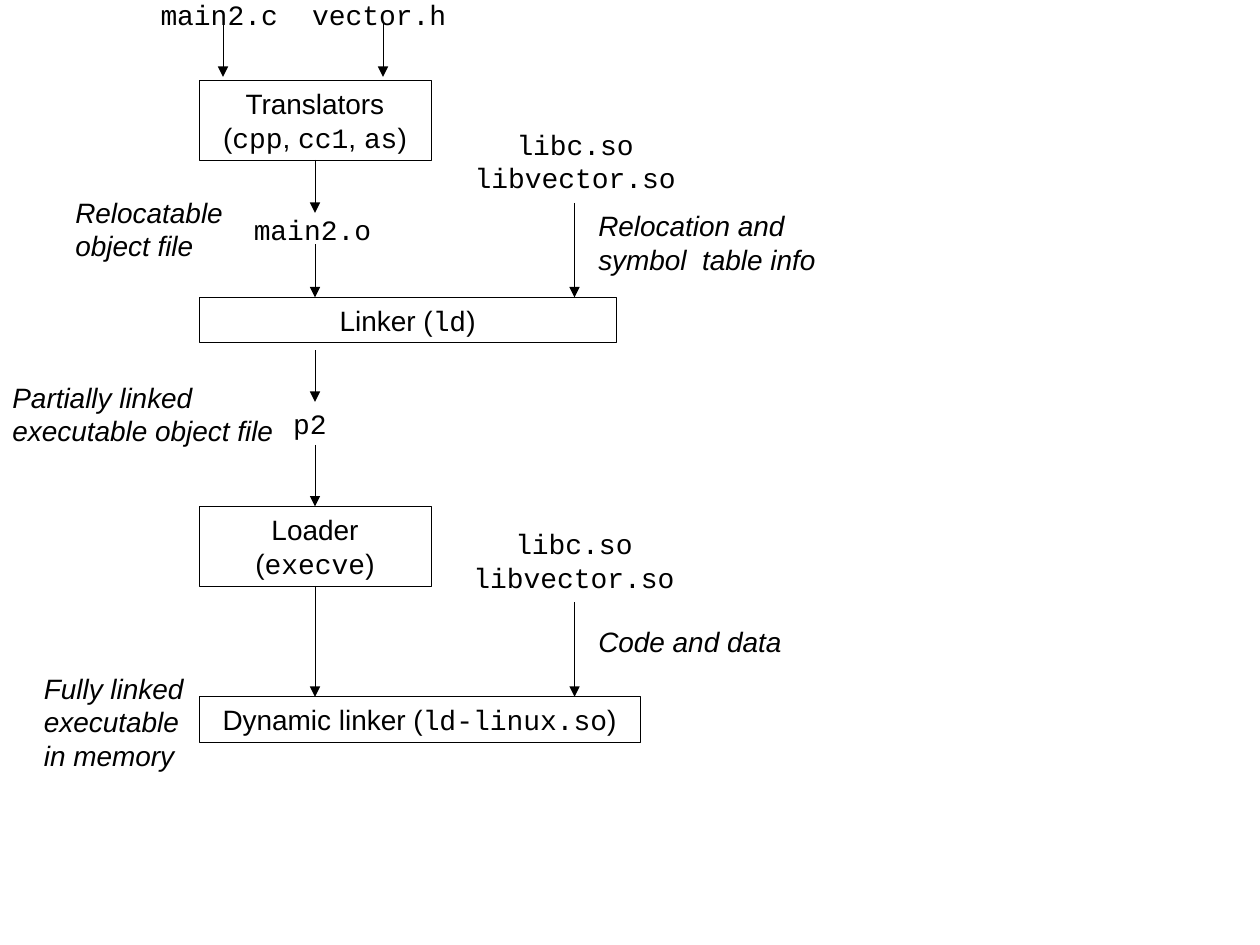
from dataclasses import dataclass
from typing import Optional

import pptx
import pptx.dml.color
import pptx.enum.shapes
import pptx.enum.text
import pptx.oxml
import pptx.oxml.ns
import pptx.util
from pptx.enum.text import MSO_AUTO_SIZE, PP_ALIGN

COLUMNS, ROWS = 100, 75
CELL = pptx.util.Inches(0.1)
COLORS = {"ink": "000000", "paper": "FFFFFF"}
SANS, MONO = "Arial", "Courier New"
LINE_WIDTH = pptx.util.Pt(0.25)
TOP, BOTTOM = 0, 2
FLOW = 25  # column of the main chain of arrows
LIBRARY = 45.6  # column of the shared-library arrows
STAGE_LEFT = 15.8
STAGE_WIDTH = 2 * (FLOW - STAGE_LEFT)


@dataclass(frozen=True)
class Block:
    """Text in grid cells; backticks enclose code, line ends split paragraphs."""
    text: str
    left: float
    top: float
    width: float
    height: float


@dataclass(frozen=True)
class Arrow:
    column: float
    start: float
    end: float
    source: Optional[str] = None
    target: Optional[str] = None


STAGES = {
    "translators": Block("Translators (`cpp`, `cc1`, `as`)", STAGE_LEFT, 6.4, STAGE_WIDTH, 6.3),
    "linker": Block("Linker (`ld`)", STAGE_LEFT, 23.6, 33.1, 3.6),
    "loader": Block("Loader (`execve`)", STAGE_LEFT, 40.2, STAGE_WIDTH, 6.3),
    "dynamic linker": Block("Dynamic linker (`ld-linux.so`)", STAGE_LEFT, 55.3, 35, 3.6),
}
LIBRARIES = "`libc.so`\n`libvector.so`"
FILES = [
    Block("`main2.c`", 11.6, -0.65, 11.6, 3.7),
    Block("`vector.h`", 23.6, -0.65, 13, 3.7),
    Block("`main2.o`", 19, 16.4, 11.6, 3.7),
    Block(LIBRARIES, 36.5, 9.6, 18.3, 6.4),
    Block("`p2`", 22.1, 31.8, 5, 3.7),
    Block(LIBRARIES, 36.4, 41.3, 18.3, 6.4),
]
NOTES = [
    Block("Relocatable\nobject file", 5, 15, 15, 6.4),
    Block("Relocation and symbol  table info", 46.5, 16.1, 19.4, 6.4),
    Block("Partially linked executable object file", 0, 29.7, 24.2, 6.4),
    Block("Code and data", 46.5, 49.1, 19.4, 3.7),
    Block("Fully linked\nexecutable\nin memory", 2.5, 52.8, 13.3, 9),
]
ARROWS = [
    Arrow(17.7, 1.9, 6.1),
    Arrow(30.4, 1.9, 6.1),
    Arrow(FLOW, 12.7, 16.9, source="translators"),
    Arrow(FLOW, 19.4, 23.6),
    Arrow(LIBRARY, 16.1, 23.6),
    Arrow(FLOW, 27.8, 31.9),
    Arrow(FLOW, 35.3, 40.2, target="loader"),
    Arrow(FLOW, 46.5, 55.3, source="loader"),
    Arrow(LIBRARY, 47.8, 55.3),
]


def cells(*values: float) -> list[int]:
    return [round(value * CELL) for value in values]


def color(name: str) -> pptx.dml.color.RGBColor:
    return pptx.dml.color.RGBColor.from_string(COLORS[name])


def style_line(line) -> None:
    line.color.rgb = color("ink")
    line.width = LINE_WIDTH


def write(shape, text: str, align: PP_ALIGN, italic: bool = False, wrap: bool = True) -> None:
    frame = shape.text_frame
    settings = {"word_wrap": wrap, "auto_size": MSO_AUTO_SIZE.SHAPE_TO_FIT_TEXT,
                "vertical_anchor": pptx.enum.text.MSO_ANCHOR.TOP}
    for name, value in settings.items():
        setattr(frame, name, value)
    for index, line in enumerate(text.split("\n")):
        paragraph = frame.add_paragraph() if index else frame.paragraphs[0]
        paragraph.alignment = align
        for part, words in enumerate(line.split("`")):
            if not words:
                continue
            run = paragraph.add_run()
            run.text = words
            font_values = {"name": MONO if part % 2 else SANS,
                           "size": pptx.util.Pt(16), "italic": italic}
            for name, value in font_values.items():
                setattr(run.font, name, value)
            run.font.color.rgb = color("ink")


def add_stage(slide, block: Block):
    shape = slide.shapes.add_shape(
        pptx.enum.shapes.MSO_SHAPE.RECTANGLE,
        *cells(block.left, block.top, block.width, block.height))
    shape.shadow.inherit = False
    shape.fill.solid()
    shape.fill.fore_color.rgb = color("paper")
    style_line(shape.line)
    write(shape, block.text, PP_ALIGN.CENTER)
    return shape


def add_label(slide, block: Block, **text_format) -> None:
    shape = slide.shapes.add_textbox(*cells(block.left, block.top, block.width, block.height))
    write(shape, block.text, **text_format)


def add_arrow(slide, arrow: Arrow, stages: dict) -> None:
    connector = slide.shapes.add_connector(
        pptx.enum.shapes.MSO_CONNECTOR.STRAIGHT,
        *cells(arrow.column, arrow.start, arrow.column, arrow.end))
    if arrow.source:
        connector.begin_connect(stages[arrow.source], BOTTOM)
    if arrow.target:
        connector.end_connect(stages[arrow.target], TOP)
    style_line(connector.line)
    head = pptx.oxml.parse_xml(
        f'<a:tailEnd {pptx.oxml.ns.nsdecls("a")} type="triangle"/>')
    connector.line._get_or_add_ln().append(head)
    connector._element.spPr.append(
        pptx.oxml.parse_xml(f'<a:effectLst {pptx.oxml.ns.nsdecls("a")}/>'))


def main() -> None:
    presentation = pptx.Presentation()
    presentation.slide_width = COLUMNS * CELL
    presentation.slide_height = ROWS * CELL
    slide = presentation.slides.add_slide(presentation.slide_layouts[6])
    stages = {name: add_stage(slide, block) for name, block in STAGES.items()}
    for arrow in ARROWS:
        add_arrow(slide, arrow, stages)
    for block in FILES:
        add_label(slide, block, align=PP_ALIGN.CENTER, wrap=False)
    for block in NOTES:
        add_label(slide, block, align=PP_ALIGN.LEFT, italic=True)
    presentation.save("out.pptx")


if __name__ == "__main__":
    main()
